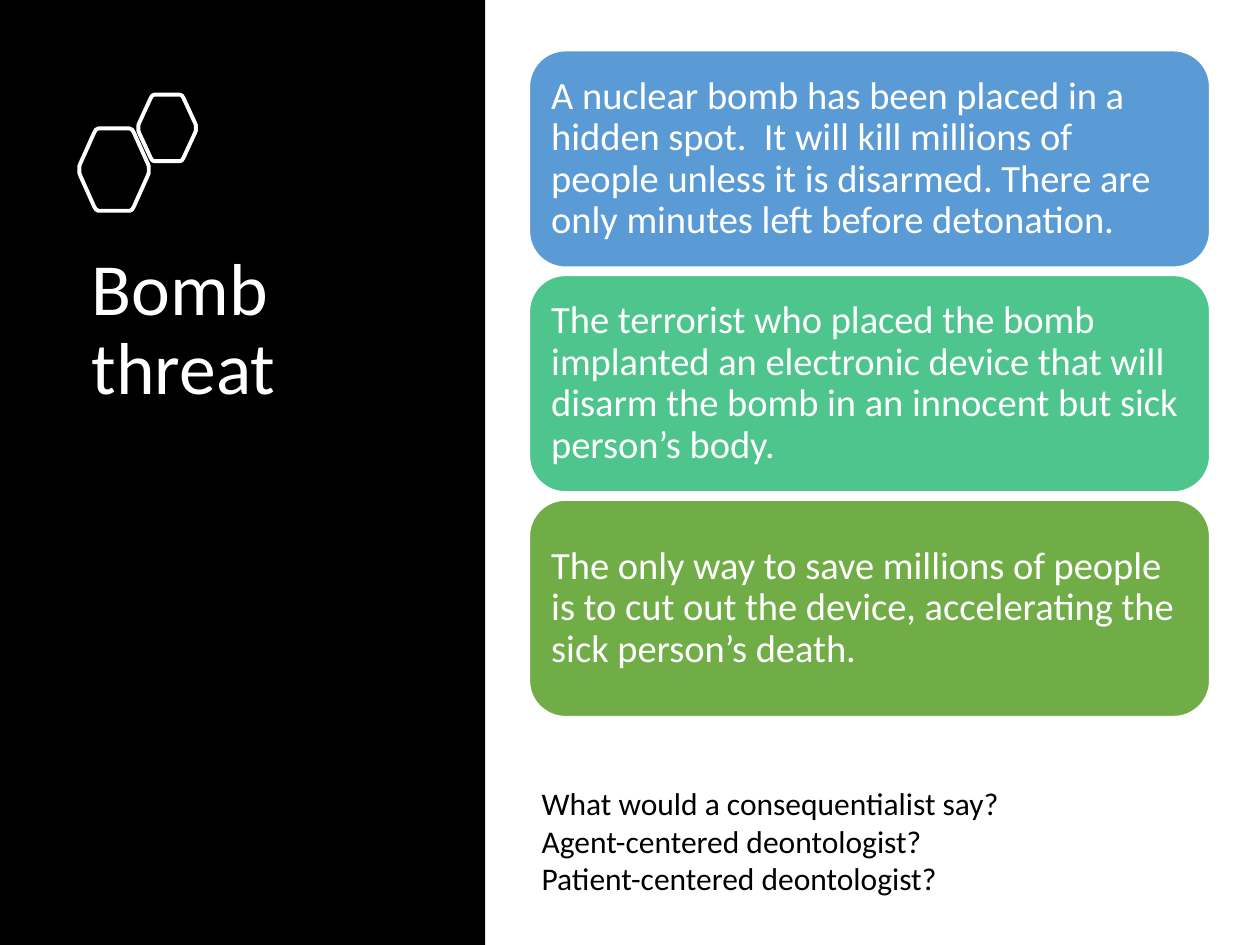
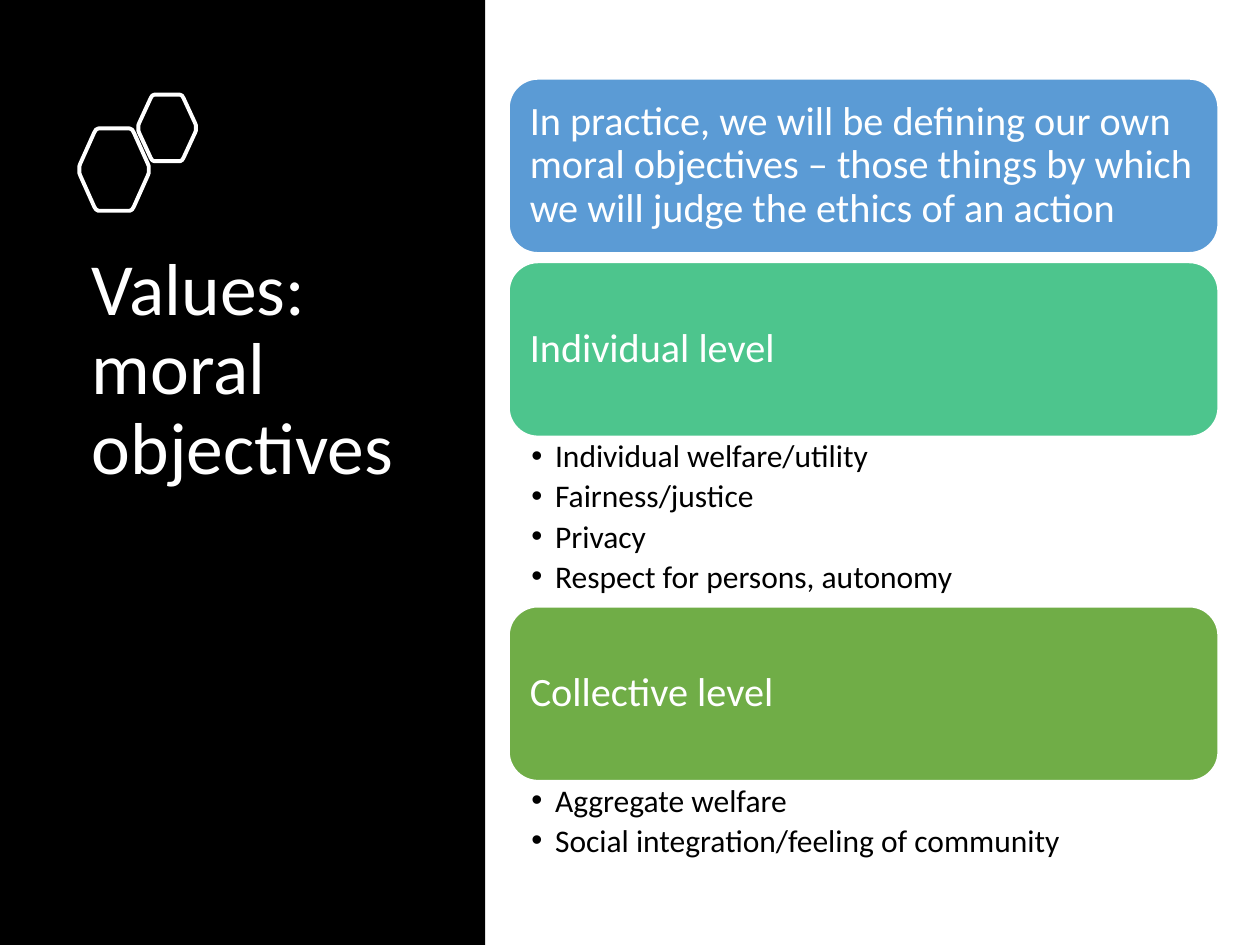
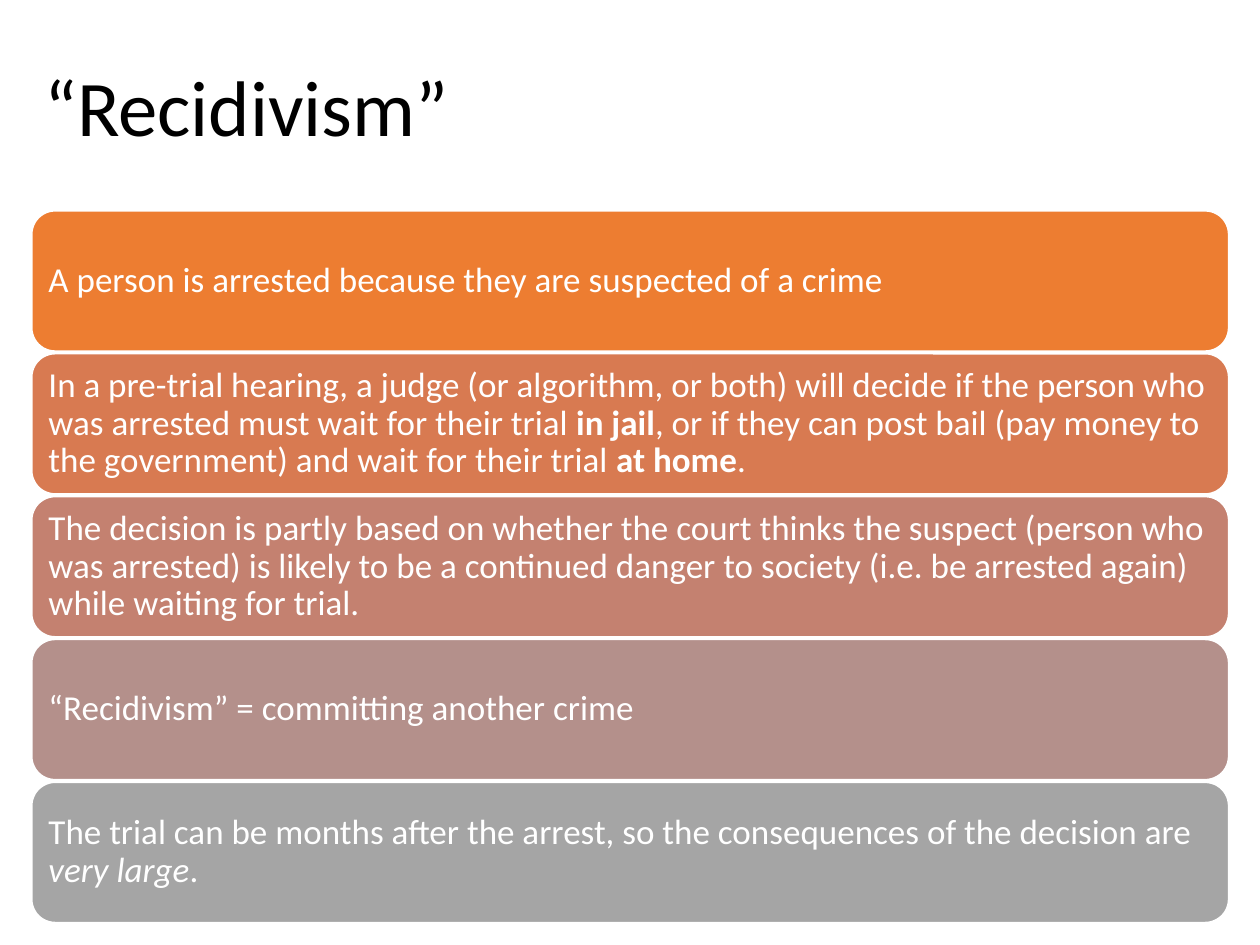
"""Build three slides on moral objectives and recidivism."""
from lxml.etree import SubElement
from pptx import Presentation
from pptx.dml.color import RGBColor
from pptx.enum.shapes import MSO_SHAPE as Kind
from pptx.enum.text import MSO_ANCHOR as Anchor, MSO_AUTO_SIZE as Auto, PP_ALIGN as Align
from pptx.oxml.ns import qn
from pptx.util import Cm, Pt

FONT = "Calibri"
WHITE, BLACK = "FFFFFF", "000000"
HUES = ["5B9BD5", "4DC58D", "70AD47"]
WARM = ["ED7D31", "D87A51", "C48170", "B4908B", "A5A5A5"]
hue = RGBColor.from_string


def write(shape, text, size, color=WHITE, anchor=Anchor.MIDDLE, inset=(0.25, 0.13),
          lead=0.9, after=0, bullet=False, mark="bold"):
    """Fill a shape with one paragraph a line; parts between bars get the mark."""
    frame = shape.text_frame
    frame.word_wrap, frame.auto_size = True, Auto.NONE
    frame.vertical_anchor = anchor
    frame.margin_left = frame.margin_right = Cm(inset[0])
    frame.margin_top = frame.margin_bottom = Cm(inset[1])
    for num, line in enumerate(text.split("\n")):
        para = frame.add_paragraph() if num else frame.paragraphs[0]
        para.alignment, para.line_spacing = Align.LEFT, lead
        para.space_before, para.space_after = Pt(0), Pt(after)
        if bullet:
            props = para._p.get_or_add_pPr()
            props.set("marL", str(Cm(0.48)))
            props.set("indent", str(-Cm(0.48)))
            SubElement(props, qn("a:buFont"), typeface="Arial")
            SubElement(props, qn("a:buChar"), char="•")
        para.font.size = Pt(size)
        for spot, part in enumerate(line.split("|")):
            run = para.add_run()
            run.text = part
            run.font.name, run.font.size = FONT, Pt(size)
            run.font.color.rgb = hue(color)
            if spot % 2:
                setattr(run.font, mark, True)


def block(slide, kind, box, fill, edge=None):
    """Add a plain filled shape; box is left, top, width, height in cm."""
    shape = slide.shapes.add_shape(kind, *map(Cm, box))
    shape.shadow.inherit = False
    shape.fill.solid()
    shape.fill.fore_color.rgb = hue(fill)
    if edge:
        shape.line.color.rgb, shape.line.width = hue(edge), Pt(1)
    else:
        shape.line.fill.background()
    return shape


deck = Presentation()
deck.slide_width, deck.slide_height = Cm(25.4), Cm(19.05)
ONLY, PAIR = deck.slide_layouts[5], deck.slide_layouts[3]

bend = [(1, 0.08), (0.97, 0.15), (0.57, 0.9), (0.52, 0.97), (0.45, 1)]
back = bend[::-1]
ring = (bend + [(-x, y) for x, y in back]
        + [(-x, -y) for x, y in bend] + [(x, -y) for x, y in back])
HEXES = [(2.3, 3.42, 0.7, 0.83), (3.37, 2.58, 0.58, 0.67)]

dark = []
for name, layout in [("Bomb threat", ONLY), ("Values: moral objectives", PAIR)]:
    slide = deck.slides.add_slide(layout)
    title = slide.shapes.title
    title.left, title.top, title.width, title.height = map(Cm, (1.6, 4.95, 7.47, 8.89))
    write(title, name, 42, anchor=Anchor.TOP)
    band = block(slide, Kind.RECTANGLE, (0, 0, 9.78, 19.05), BLACK)
    title.element.addprevious(band.element)
    for mid, level, wide, high in HEXES:
        spots = [(Cm(mid + x * wide), Cm(level + y * high)) for x, y in ring]
        path = slide.shapes.build_freeform(*spots[0])
        path.add_line_segments(spots[1:], close=True)
        cell = path.convert_to_shape()
        cell.shadow.inherit = False
        cell.fill.background()
        cell.line.color.rgb, cell.line.width = hue(WHITE), Pt(2.25)
    dark.append(slide)

bomb, moral = dark
FACTS = [
    "A nuclear bomb has been placed in a hidden spot.  It will kill millions of people "
    "unless it is disarmed. There are only minutes left before detonation.",
    "The terrorist who placed the bomb implanted an electronic device that will disarm "
    "the bomb in an innocent but sick person’s body.",
    "The only way to save millions of people is to cut out the device, accelerating the "
    "sick person’s death.",
]
for row, (fact, fill) in enumerate(zip(FACTS, HUES)):
    card = block(bomb, Kind.ROUNDED_RECTANGLE, (10.67, 1.02 + row * 4.53, 13.72, 4.37), fill, WHITE)
    write(card, fact, 22, inset=(0.23, 0.23))
asks = bomb.shapes.add_textbox(*map(Cm, (10.67, 15.67, 12.83, 2.57)))
write(asks, "What would a consequentialist say?\nAgent-centered deontologist?\n"
      "Patient-centered deontologist?", 18, BLACK, Anchor.TOP, lead=1)

LEVELS = [
    ("In practice, we will be defining our own moral objectives – those things by which "
     "we will judge the ethics of an action", None, 0.19, ""),
    ("Individual level", 1, 3.43,
     "Individual welfare/utility\nFairness/justice\nPrivacy\nRespect for persons, autonomy"),
    ("Collective level", 2, 1.73, "Aggregate welfare\nSocial integration/feeling of community"),
]
top = 1.59
for (head, slot, high, items), fill in zip(LEVELS, HUES):
    card = block(moral, Kind.ROUNDED_RECTANGLE, (10.26, top, 14.3, 3.51), fill, WHITE)
    write(card, head, 23, inset=(0.25, 0.25))
    top += 3.51
    if slot:
        body = moral.placeholders[slot]
        body.left, body.top, body.width, body.height = map(Cm, (10.26, top, 14.3, high))
        write(body, items, 18, BLACK, Anchor.TOP, (0.45, 0.08), after=3.5, bullet=True)
    top += high

trial = deck.slides.add_slide(ONLY)
title = trial.shapes.title
title.left, title.top, title.width, title.height = map(Cm, (0.64, 0.66, 21.89, 3.15))
write(title, "“Recidivism”", 45, BLACK)
STEPS = [
    "A person is arrested because they are suspected of a crime",
    "In a pre-trial hearing, a judge (or algorithm, or both) will decide if the person who "
    "was arrested must wait for their trial |in jail|, or if they can post bail (pay money "
    "to the government) and wait for their trial |at home|.",
    "The decision is partly based on whether the court thinks the suspect (person who was "
    "arrested) is likely to be a continued danger to society (i.e. be arrested again) while "
    "waiting for trial.",
    "“Recidivism” = committing another crime",
    "The trial can be months after the arrest, so the consequences of the decision are "
    "|very large|.",
]
for row, (step, fill) in enumerate(zip(STEPS, WARM)):
    card = block(trial, Kind.ROUNDED_RECTANGLE, (0.64, 4.25 + row * 2.88, 24.13, 2.83), fill, WHITE)
    write(card, step, 20, inset=(0.2, 0.2), mark="italic" if row == 4 else "bold")

deck.save("out.pptx")
